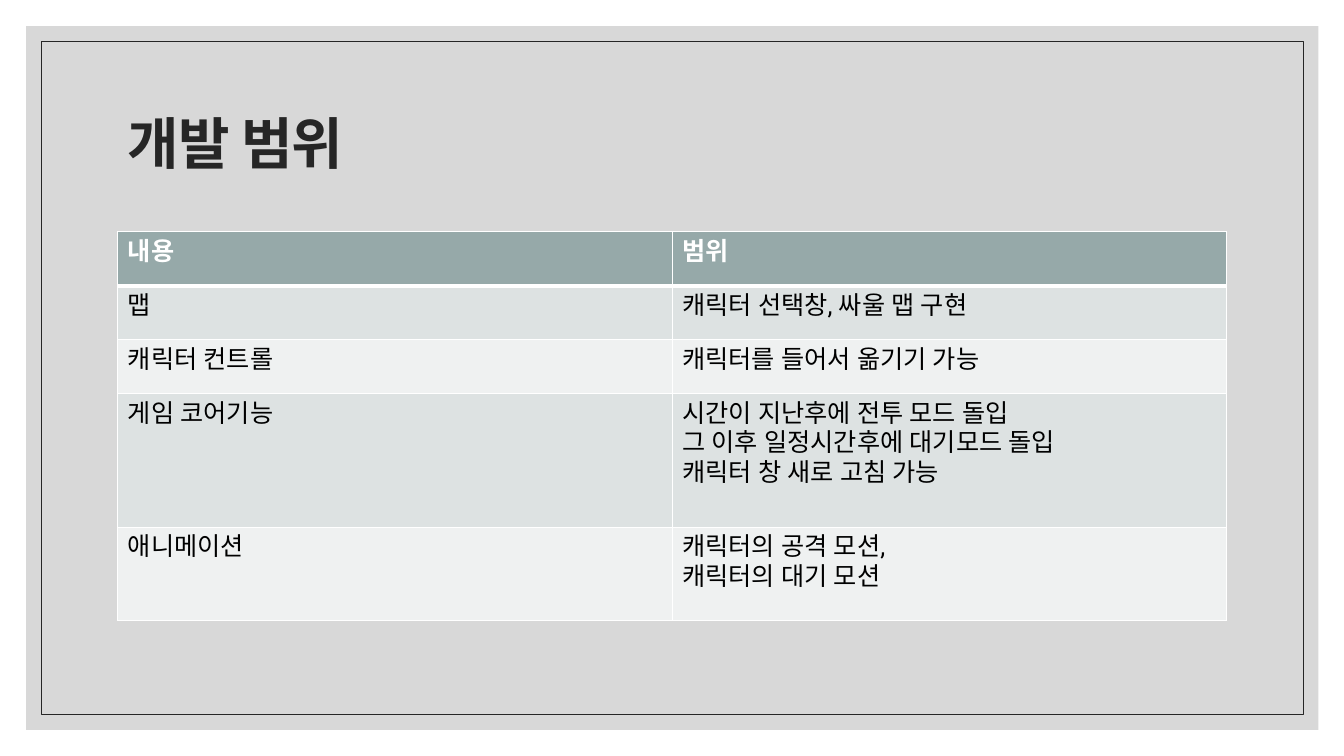
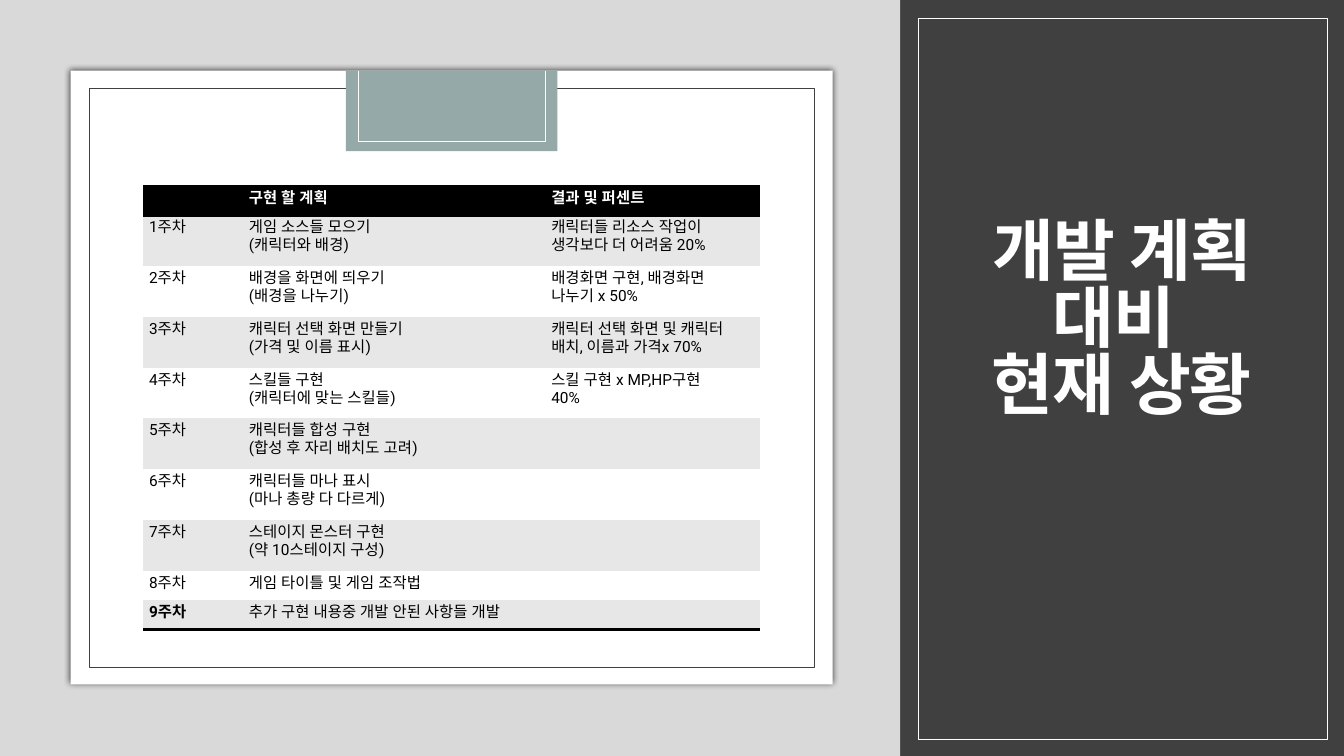
"""Build two slides: the development scope and the plan compared with current progress."""
from lxml import etree
from pptx import Presentation
from pptx.dml.color import RGBColor
from pptx.enum.shapes import MSO_CONNECTOR, MSO_SHAPE
from pptx.enum.text import MSO_ANCHOR, PP_ALIGN
from pptx.oxml.ns import qn
from pptx.util import Pt

RECTANGLE = MSO_SHAPE.RECTANGLE
STRAIGHT = MSO_CONNECTOR.STRAIGHT
MIDDLE = MSO_ANCHOR.MIDDLE
LEFT, CENTER = PP_ALIGN.LEFT, PP_ALIGN.CENTER
PLAIN_TABLE = "{2D5ABB26-0587-4C30-8999-92F81FD0307C}"


class Theme:
    font = "Roboto"
    white, black = "FFFFFF", "000000"
    ink, dark = "262626", "404040"
    mist, backdrop = "BFBFBF", "D9D9D9"
    sage, sage_band, sage_pale = "96A9A9", "DDE2E2", "EFF1F1"
    gray_band = "E7E7E7"
    scope_title, plan_title = 40, 48
    scope_text, plan_text = 18, 11
    hairline = 0.5


def add_box(slide, box, fill=None, line=None, alpha=None, shadow=False):
    shape = slide.shapes.add_shape(RECTANGLE, *map(Pt, box))
    shape.shadow.inherit = False
    if fill:
        shape.fill.solid()
        shape.fill.fore_color.rgb = RGBColor.from_string(fill)
    else:
        shape.fill.background()
    if line:
        shape.line.color.rgb = RGBColor.from_string(line)
        shape.line.width = Pt(Theme.hairline)
    else:
        shape.line.fill.background()
    properties = shape.element.spPr
    if alpha:
        color = properties.find(qn("a:solidFill")).find(qn("a:srgbClr"))
        etree.SubElement(color, qn("a:alpha"), val=str(alpha * 1000))
    if shadow:
        effects = properties.find(qn("a:effectLst"))
        glow = etree.SubElement(effects, qn("a:outerShdw"), blurRad=str(Pt(4)),
                                dist="0", algn="ctr", rotWithShape="0")
        color = etree.SubElement(glow, qn("a:srgbClr"), val=Theme.black)
        etree.SubElement(color, qn("a:alpha"), val="66000")


def add_grid(slide, origin, widths, heights, rows, size, fills, edges, margins, bold_cells=()):
    """Draw a table; fills are header and two bands, margins are left, right and vertical."""
    frame = slide.shapes.add_table(len(rows), len(widths), *map(Pt, origin),
                                   Pt(sum(widths)), Pt(sum(heights)))
    grid = frame.table
    grid.first_row = grid.horz_banding = False
    next(frame.element.iter(qn("a:tableStyleId"))).text = PLAIN_TABLE
    for column, width in zip(grid.columns, widths):
        column.width = Pt(width)
    for r, (row, height) in enumerate(zip(rows, heights)):
        grid.rows[r].height = Pt(height)
        band = fills[0] if r == 0 else fills[2 - r % 2]
        for c, text in enumerate(row):
            cell = grid.cell(r, c)
            cell.margin_left, cell.margin_right = Pt(margins[0]), Pt(margins[1])
            cell.margin_top = cell.margin_bottom = Pt(margins[2])
            properties = cell._tc.get_or_add_tcPr()
            for side, (color, width) in edges.get(r, {}).items():
                edge = etree.SubElement(properties, qn("a:ln" + side), w=str(Pt(width)))
                fill = etree.SubElement(edge, qn("a:solidFill"))
                etree.SubElement(fill, qn("a:srgbClr"), val=color)
            cell.fill.solid()
            cell.fill.fore_color.rgb = RGBColor.from_string(band)
            cell.text_frame.text = text
            for paragraph in cell.text_frame.paragraphs:
                if not paragraph.runs:
                    etree.SubElement(paragraph._p, qn("a:endParaRPr"), sz=str(size * 100))
                for run in paragraph.runs:
                    run.font.name = Theme.font
                    run.font.size = Pt(size)
                    run.font.bold = r == 0 or (r, c) in bold_cells
                    run.font.color.rgb = RGBColor.from_string(
                        Theme.white if r == 0 else Theme.black)


deck = Presentation()
deck.slide_width, deck.slide_height = Pt(960), Pt(540)
blank = deck.slide_layouts[6]

scope = deck.slides.add_slide(blank)
plan = deck.slides.add_slide(blank)
for slide, color in ((scope, Theme.white), (plan, Theme.dark)):
    slide.background.fill.solid()
    slide.background.fill.fore_color.rgb = RGBColor.from_string(color)

add_box(scope, (18.7, 18.7, 923, 502.6), fill=Theme.mist, alpha=60)
add_box(scope, (29.5, 29.5, 901.4, 481), line=Theme.ink)

add_box(plan, (0, 0, 643, 540), fill=Theme.backdrop)
add_box(plan, (50.4, 50.4, 544.3, 438.5), fill=Theme.white, shadow=True)
add_box(plan, (64.1, 63.4, 517.3, 413), line=Theme.dark)
add_box(plan, (247, 50.4, 151.2, 57.6), fill=Theme.sage)
add_box(plan, (655.9, 13, 292.3, 514.8), line=Theme.white)

tab_left, tab_right, tab_top, tab_bottom = 256.3, 389.5, 50.4, 101.2
for ends in ((tab_left, tab_top, tab_left, tab_bottom),
             (tab_right, tab_top, tab_right, tab_bottom),
             (tab_left, tab_bottom, tab_right, tab_bottom)):
    tab_edge = plan.shapes.add_connector(STRAIGHT, *map(Pt, ends))
    tab_edge.line.color.rgb = RGBColor.from_string(Theme.white)
    tab_edge.line.width = Pt(Theme.hairline)
    etree.SubElement(tab_edge.element.spPr, qn("a:effectLst"))

titles = (
    (scope, (84.2, 50.4, 792, 108), "개발 범위", Theme.scope_title, Theme.ink, LEFT, 0.9),
    (plan, (673.9, 92.9, 254.9, 274.3), "개발 계획 대비 \v현재 상황",
     Theme.plan_title, Theme.white, CENTER, 0.83),
)
for slide, box, text, size, color, align, spacing in titles:
    title = slide.shapes.add_textbox(*map(Pt, box)).text_frame
    title.word_wrap = True
    title.vertical_anchor = MIDDLE
    heading = title.paragraphs[0]
    heading.text = text
    heading.alignment = align
    heading.line_spacing = spacing
    for run in heading.runs:
        run.font.name = Theme.font
        run.font.size = Pt(size)
        run.font.bold = True
        run.font.color.rgb = RGBColor.from_string(color)
        run.font._element.set("spc", "-70")

scope_rows = (
    ("내용", "범위"),
    ("맵", "캐릭터 선택창, 싸울 맵 구현"),
    ("캐릭터 컨트롤", "캐릭터를 들어서 옮기기 가능"),
    ("게임 코어기능",
     "시간이 지난후에 전투 모드 돌입\n그 이후 일정시간후에 대기모드 돌입\n캐릭터 창 새로 고침 가능"),
    ("애니메이션", "캐릭터의 공격 모션,\n캐릭터의 대기 모션"),
)
thin, thick = (Theme.white, 1), (Theme.white, 3)
scope_edges = {r: {"L": thin, "R": thin, "T": thick if r == 1 else thin,
                   "B": thick if r == 0 else thin} for r in range(len(scope_rows))}
add_grid(scope, (84.2, 165.6), (396, 396), (38.6, 38.6, 38.6, 95.2, 66.8), scope_rows,
         Theme.scope_text, (Theme.sage, Theme.sage_band, Theme.sage_pale),
         scope_edges, (7.2, 7.2, 3.6))

plan_rows = (
    ("", "구현 할 계획", "결과 및 퍼센트"),
    ("1주차", "게임 소스들 모으기\n(캐릭터와 배경)", "캐릭터들 리소스 작업이\n생각보다 더 어려움 20%"),
    ("2주차", "배경을 화면에 띄우기\n(배경을 나누기)", "배경화면 구현, 배경화면\n나누기 x 50%"),
    ("3주차", "캐릭터 선택 화면 만들기\n(가격 및 이름 표시)",
     "캐릭터 선택 화면 및 캐릭터 배치, 이름과 가격x 70%"),
    ("4주차", "스킬들 구현\n(캐릭터에 맞는 스킬들)", "스킬 구현 x MP,HP구현\n40%"),
    ("5주차", "캐릭터들 합성 구현\n(합성 후 자리 배치도 고려)", ""),
    ("6주차", "캐릭터들 마나 표시\n(마나 총량 다 다르게)", ""),
    ("7주차", "스테이지 몬스터 구현\n(약 10스테이지 구성)", ""),
    ("8주차", "게임 타이틀 및 게임 조작법", ""),
    ("9주차", "추가 구현 내용중 개발 안된 사항들 개발", ""),
)
rule = (Theme.black, 2)
last_row = len(plan_rows) - 1
plan_heights = [36.3 if "\n" in row[1] else 20.9 for row in plan_rows]
add_grid(plan, (102.2, 132.9), (71.3, 216, 153.4), plan_heights, plan_rows,
         Theme.plan_text, (Theme.black, Theme.gray_band, Theme.white),
         {0: {"T": rule, "B": rule}, last_row: {"B": rule}}, (4.3, 14, 2.2),
         bold_cells={(last_row, 0)})

for slide in (scope, plan):
    for latin in list(slide.element.iter(qn("a:latin"))):
        korean = etree.Element(qn("a:ea"), typeface=Theme.font)
        latin.addnext(korean)

deck.save("out.pptx")
